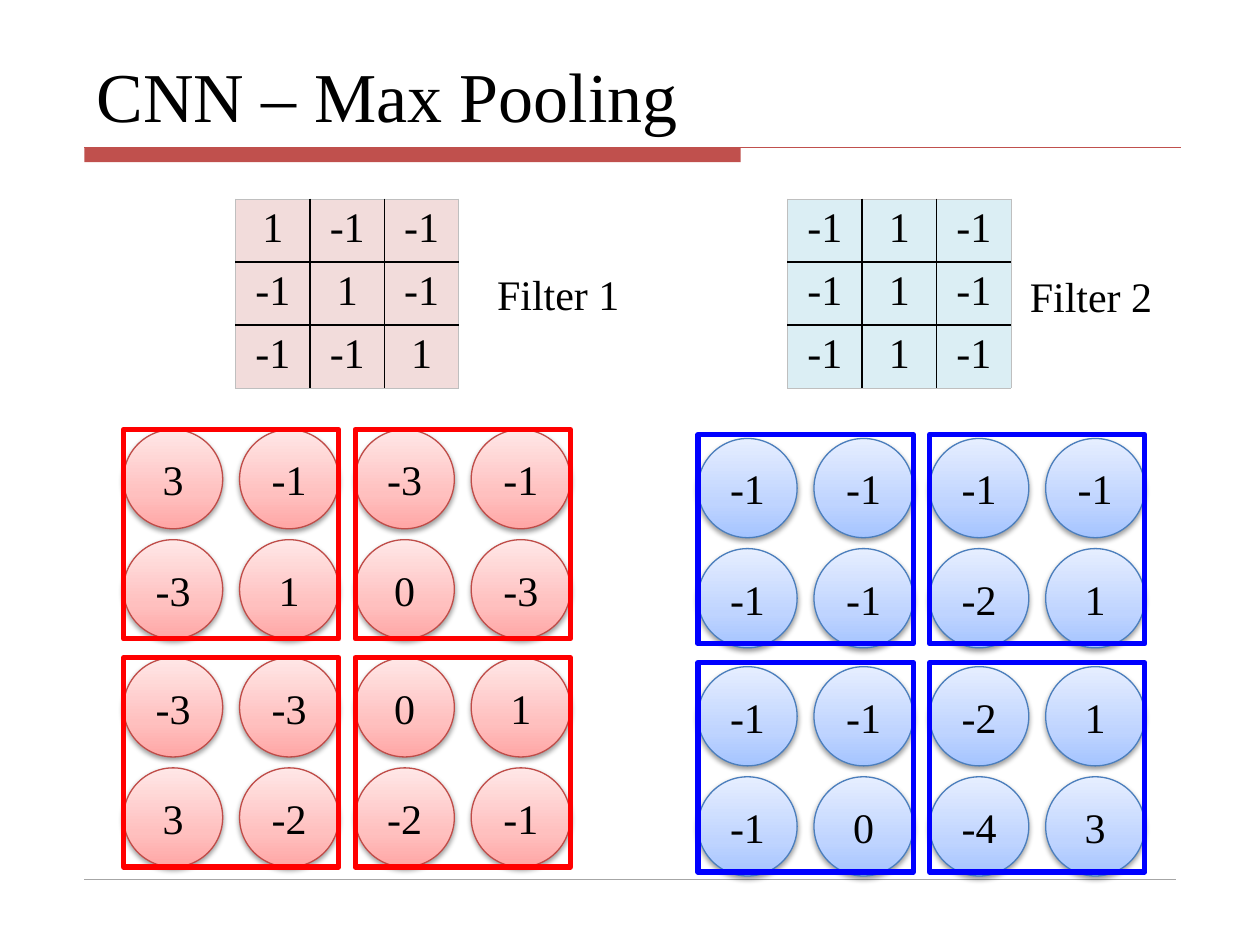
"""Build the CNN max pooling slide: two filters and their pooled feature maps."""
from itertools import product

from lxml import etree
from pptx import Presentation
from pptx.dml.color import RGBColor
from pptx.enum.shapes import MSO_CONNECTOR, MSO_SHAPE
from pptx.enum.text import MSO_ANCHOR, PP_ALIGN
from pptx.oxml import parse_xml
from pptx.oxml.ns import nsdecls, qn
from pptx.util import Cm, Pt

STRAIGHT = MSO_CONNECTOR.STRAIGHT
RECTANGLE, OVAL = MSO_SHAPE.RECTANGLE, MSO_SHAPE.OVAL
BOTTOM, MIDDLE = MSO_ANCHOR.BOTTOM, MSO_ANCHOR.MIDDLE
LEFT, CENTER = PP_ALIGN.LEFT, PP_ALIGN.CENTER

COLORS = {"text": "000000", "accent": "C0504D", "footer": "A6A6A6", "grid": "000000", "edge": "BFBFBF"}
NUMBER_FORMAT = {"name": "Times New Roman", "size": Pt(24)}
TITLE_FORMAT = {"name": "Times New Roman", "size": Pt(40)}
CIRCLE, CIRCLE_STEP_X, CIRCLE_STEP_Y = 2, 2.34, 2.22
WINDOW_WIDTH, WINDOW_HEIGHT, WINDOW_STEP_X, WINDOW_STEP_Y = 4.34, 4.22, 4.67, 4.6
COLUMN_WIDTH, ROW_HEIGHT = 1.5, 1.27

SIDES = [
    {
        "label": "Filter 1", "label_at": (9.25, 5.28), "table_at": (4.75, 4.01),
        "map_at": (2.49, 8.66), "window_top": 8.66,
        "cell": "F2DCDB", "outline": "BF4C48", "window": "FF0000",
        "gradient": [(0, "FFA6A5"), (35, "FFC0BF"), (100, "FFE7E7")],
        "filter": [[1, -1, -1], [-1, 1, -1], [-1, -1, 1]],
        "map": [[3, -1, -3, -1], [-3, 1, 0, -3], [-3, -3, 0, 1], [3, -2, -2, -1]],
    },
    {
        "label": "Filter 2", "label_at": (19.99, 5.33), "table_at": (15.88, 4.01),
        "map_at": (14.07, 8.84), "window_top": 8.76,
        "cell": "DBEEF4", "outline": "4B7EBC", "window": "0000FF",
        "gradient": [(0, "A4C4FF"), (35, "BFD4FF"), (100, "E6EEFF")],
        "filter": [[-1, 1, -1], [-1, 1, -1], [-1, 1, -1]],
        "map": [[-1, -1, -1, -1], [-1, -1, -2, 1], [-1, -1, -2, 1], [-1, 0, -4, 3]],
    },
]


def write(frame, text, formats, align):
    frame.text = text
    paragraph = frame.paragraphs[0]
    paragraph.alignment = align
    for attribute, value in formats.items():
        setattr(paragraph.font, attribute, value)
    paragraph.font.color.rgb = RGBColor.from_string(COLORS["text"])


def add_rule(slide, top, right, color, width):
    rule = slide.shapes.add_connector(STRAIGHT, Cm(1.7), Cm(top), Cm(right), Cm(top))
    rule.line.color.rgb = RGBColor.from_string(color)
    rule.line.width = Pt(width)
    etree.SubElement(rule._element.spPr, qn("a:effectLst"))


prs = Presentation()
prs.slide_width, prs.slide_height = Cm(25.4), Cm(19.05)
slide = prs.slides.add_slide(prs.slide_layouts[6])

band = slide.shapes.add_shape(RECTANGLE, Cm(1.7), Cm(2.97), Cm(13.23), Cm(0.3))
band.shadow.inherit = False
band.fill.solid()
band.fill.fore_color.rgb = RGBColor.from_string(COLORS["accent"])
band.line.fill.background()
add_rule(slide, 2.97, 23.8, COLORS["accent"], 0.75)
add_rule(slide, 17.73, 23.7, COLORS["footer"], 0.25)

title = slide.shapes.add_textbox(Cm(1.7), Cm(0.84), Cm(22.2), Cm(2.03)).text_frame
title.word_wrap = True
title.vertical_anchor = BOTTOM
write(title, "CNN – Max Pooling", TITLE_FORMAT, LEFT)

for side in SIDES:
    left, top = side["map_at"]
    stops = "".join(
        f'<a:gs pos="{position * 1000}"><a:srgbClr val="{color}"/></a:gs>'
        for position, color in side["gradient"]
    )
    for row, column in product(range(4), repeat=2):
        x = left + column // 2 * WINDOW_STEP_X + column % 2 * CIRCLE_STEP_X
        y = top + row // 2 * WINDOW_STEP_Y + row % 2 * CIRCLE_STEP_Y
        circle = slide.shapes.add_shape(OVAL, Cm(x), Cm(y), Cm(CIRCLE), Cm(CIRCLE))
        circle.line.color.rgb = RGBColor.from_string(side["outline"])
        circle.line.width = Pt(0.75)
        properties = circle._element.spPr
        properties.find(qn("a:ln")).addprevious(parse_xml(
            f'<a:gradFill {nsdecls("a")} rotWithShape="1"><a:gsLst>{stops}</a:gsLst>'
            '<a:lin ang="16200000" scaled="0"/></a:gradFill>'
        ))
        properties.append(parse_xml(
            f'<a:effectLst {nsdecls("a")}><a:outerShdw blurRad="39370" dist="20320" dir="5400000" '
            'rotWithShape="0"><a:srgbClr val="000000"><a:alpha val="38000"/></a:srgbClr>'
            '</a:outerShdw></a:effectLst>'
        ))
        circle.text_frame.vertical_anchor = MIDDLE
        write(circle.text_frame, str(side["map"][row][column]), NUMBER_FORMAT, CENTER)

    table_left, table_top = side["table_at"]
    table = slide.shapes.add_table(
        3, 3, Cm(table_left), Cm(table_top), Cm(3 * COLUMN_WIDTH), Cm(3 * ROW_HEIGHT)
    ).table
    table.first_row = table.horz_banding = False
    for row, column in product(range(3), repeat=2):
        cell = table.cell(row, column)
        write(cell.text_frame, str(side["filter"][row][column]), NUMBER_FORMAT, CENTER)
        outer = {"lnL": column == 0, "lnR": column == 2, "lnT": row == 0, "lnB": row == 2}
        for border, is_edge in outer.items():
            color, width = (COLORS["edge"], Pt(0.5)) if is_edge else (COLORS["grid"], Pt(1))
            cell._tc.get_or_add_tcPr().append(parse_xml(
                f'<a:{border} {nsdecls("a")} w="{width}"><a:solidFill>'
                f'<a:srgbClr val="{color}"/></a:solidFill></a:{border}>'
            ))
        cell.fill.solid()
        cell.fill.fore_color.rgb = RGBColor.from_string(side["cell"])

    label_left, label_top = side["label_at"]
    label = slide.shapes.add_textbox(Cm(label_left), Cm(label_top), Cm(4.01), Cm(1.27)).text_frame
    label.word_wrap = True
    write(label, side["label"], NUMBER_FORMAT, CENTER)

    for row, column in product(range(2), repeat=2):
        window = slide.shapes.add_shape(
            RECTANGLE, Cm(left + column * WINDOW_STEP_X), Cm(side["window_top"] + row * WINDOW_STEP_Y),
            Cm(WINDOW_WIDTH), Cm(WINDOW_HEIGHT),
        )
        window.shadow.inherit = False
        window.fill.background()
        window.line.color.rgb = RGBColor.from_string(side["window"])
        window.line.width = Pt(3)

prs.save("out.pptx")
